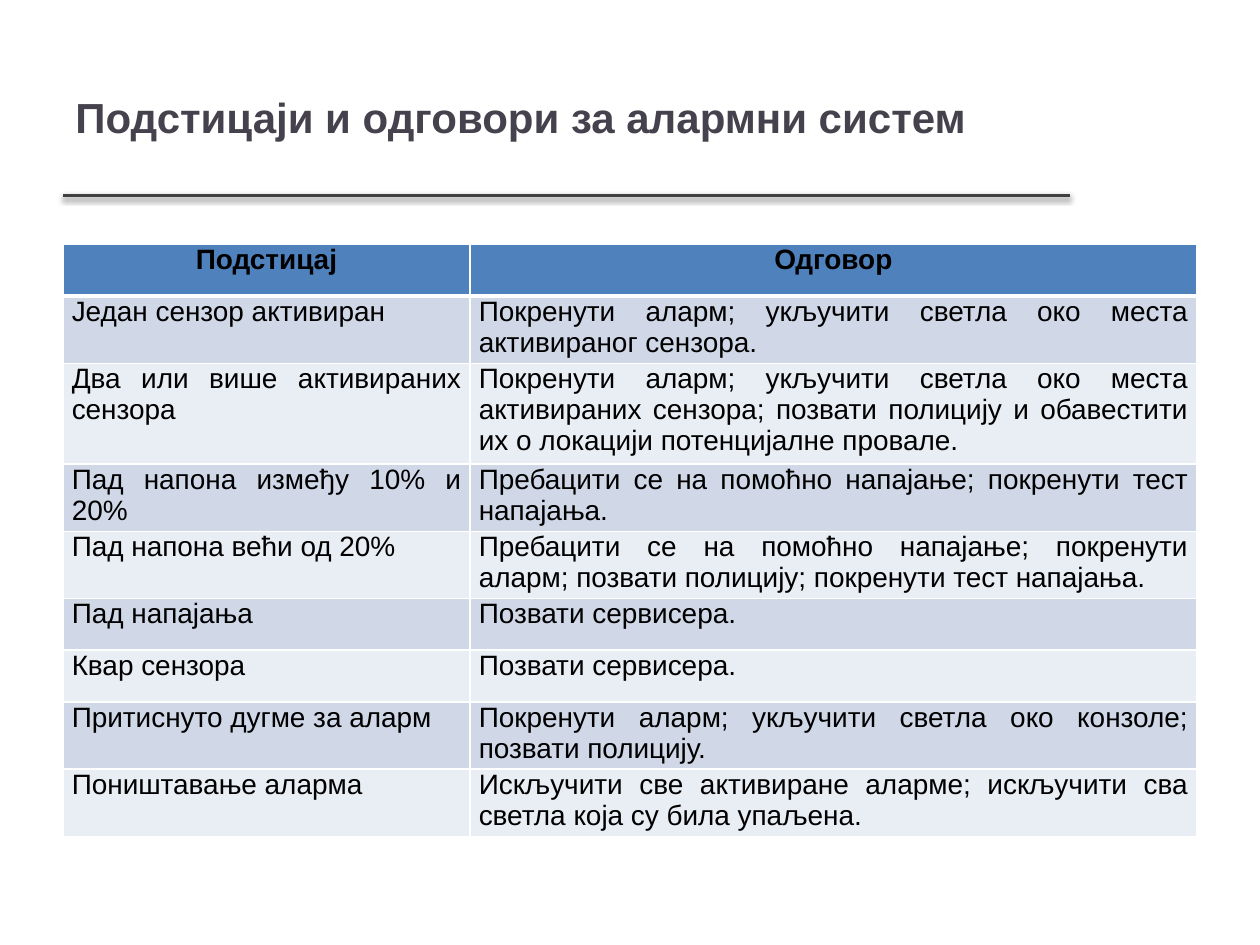
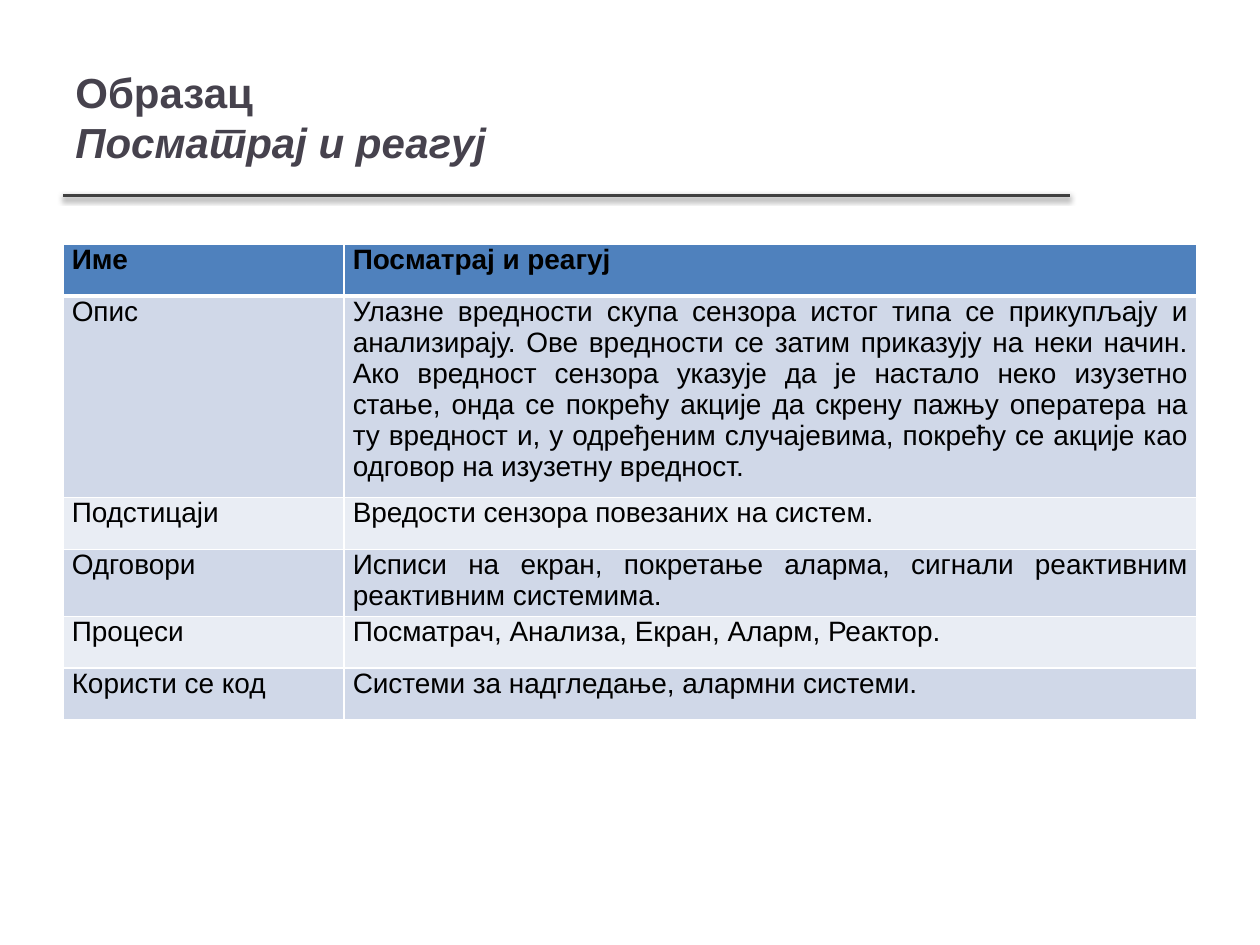
"""Builds two slides with titled, banded tables on alarm system design."""
from lxml import etree
from pptx import Presentation
from pptx.dml.color import RGBColor
from pptx.enum.shapes import MSO_CONNECTOR
from pptx.enum.text import MSO_ANCHOR, PP_ALIGN
from pptx.oxml import parse_xml
from pptx.oxml.ns import nsdecls, qn
from pptx.util import Inches, Pt

RULE, TITLE, BLACK, WHITE = "404040", "46424D", "000000", "FFFFFF"
HEADER, BANDS = "4F81BD", ("D0D8E8", "E9EDF4")
FONT = "Arial"
SHADOW = (
    f'<a:effectLst {nsdecls("a")}><a:outerShdw blurRad="{Pt(3.1)}" dist="{Pt(1.6)}" '
    'dir="5400000" rotWithShape="0"><a:srgbClr val="000000"><a:alpha val="38000"/>'
    '</a:srgbClr></a:outerShdw></a:effectLst>'
)

SLIDES = [
    {
        "title": [("Подстицаји и одговори за алармни систем", False)],
        "cols": (3.23, 5.77),
        "last_row": 0.36,
        "header_align": PP_ALIGN.CENTER,
        "rows": [
            ("Подстицај", "Одговор"),
            ("Један сензор активиран",
             "Покренути аларм; укључити светла око места активираног сензора."),
            ("Два или више активираних сензора",
             "Покренути аларм; укључити светла око места активираних сензора; "
             "позвати полицију и обавестити их о локацији потенцијалне провале."),
            ("Пад напона између 10% и 20%",
             "Пребацити се на помоћно напајање; покренути тест напајања."),
            ("Пад напона већи од 20%",
             "Пребацити се на помоћно напајање; покренути аларм; позвати полицију; "
             "покренути тест напајања."),
            ("Пад напајања", "Позвати сервисера."),
            ("Квар сензора", "Позвати сервисера."),
            ("Притиснуто дугме за аларм",
             "Покренути аларм; укључити светла око конзоле; позвати полицију."),
            ("Поништавање аларма",
             "Искључити све активиране аларме; искључити сва светла која су била упаљена."),
        ],
    },
    {
        "title": [("Образац", False), ("Посматрај и реагуј", True)],
        "cols": (2.23, 6.77),
        "last_row": 0.41,
        "header_align": PP_ALIGN.JUSTIFY,
        "rows": [
            ("Име", "Посматрај и реагуј"),
            ("Опис",
             "Улазне вредности скупа сензора истог типа се прикупљају и анализирају. "
             "Ове вредности се затим приказују на неки начин. Ако вредност сензора указује "
             "да је настало неко изузетно стање, онда се покрећу акције да скрену пажњу "
             "оператера на ту вредност и, у одређеним случајевима, покрећу се акције као "
             "одговор на изузетну вредност."),
            ("Подстицаји", "Вредости сензора повезаних на систем."),
            ("Одговори",
             "Исписи на екран, покретање аларма, сигнали реактивним реактивним системима."),
            ("Процеси", "Посматрач, Анализа, Екран, Аларм, Реактор."),
            ("Користи се код", "Системи за надгледање, алармни системи."),
        ],
    },
]


def rgb(value):
    return RGBColor.from_string(value)


def set_borders(cell, top, bottom):
    tcPr = cell._tc.get_or_add_tcPr()
    for side, width in (("L", 1), ("R", 1), ("T", top), ("B", bottom)):
        ln = etree.SubElement(tcPr, qn(f"a:ln{side}"), w=str(Pt(width)))
        fill = etree.SubElement(ln, qn("a:solidFill"))
        etree.SubElement(fill, qn("a:srgbClr"), val=WHITE)


prs = Presentation()
prs.slide_width, prs.slide_height = Inches(10), Inches(7.5)

for data in SLIDES:
    s = prs.slides.add_slide(prs.slide_layouts[6])

    rule = s.shapes.add_connector(
        MSO_CONNECTOR.STRAIGHT, Inches(0.5), Inches(1.55), Inches(8.49), Inches(1.55))
    rule.line.color.rgb = rgb(RULE)
    rule.line.width = Pt(2)
    rule._element.spPr.append(parse_xml(SHADOW))

    tf = s.shapes.add_textbox(Inches(0.5), Inches(0.3), Inches(7.98), Inches(1.25)).text_frame
    tf.word_wrap = True
    tf.vertical_anchor = MSO_ANCHOR.MIDDLE
    p = tf.paragraphs[0]
    p.font.name, p.font.size, p.font.bold = FONT, Pt(24), True
    p.font.color.rgb = rgb(TITLE)
    for i, (text, italic) in enumerate(data["title"]):
        if i:
            p.add_line_break()
        r = p.add_run()
        r.text = text
        r.font.italic = italic
        r._r.get_or_add_rPr().set("lang", "sr-Cyrl-RS")

    rows = data["rows"]
    table = s.shapes.add_table(
        len(rows), 2, Inches(0.5), Inches(1.94), Inches(9), Inches(0.41 * len(rows))).table
    for col, width in zip(table.columns, data["cols"]):
        col.width = Inches(width)
    for i, texts in enumerate(rows):
        table.rows[i].height = Inches(data["last_row"] if i == len(rows) - 1 else 0.41)
        for j, text in enumerate(texts):
            cell = table.cell(i, j)
            set_borders(cell, 3 if i == 1 else 1, 3 if i == 0 else 1)
            cell.fill.solid()
            cell.fill.fore_color.rgb = rgb(BANDS[(i - 1) % 2] if i else HEADER)
            cell.margin_left = cell.margin_right = Inches(0.07)
            cell.margin_top = cell.margin_bottom = 0
            cell.text = text
            p = cell.text_frame.paragraphs[0]
            p.alignment = PP_ALIGN.JUSTIFY if i else data["header_align"]
            p.space_after = Pt(3)
            p.font.name, p.font.size, p.font.bold = FONT, Pt(16), i == 0
            p.font.color.rgb = rgb(BLACK)

prs.save("out.pptx")
